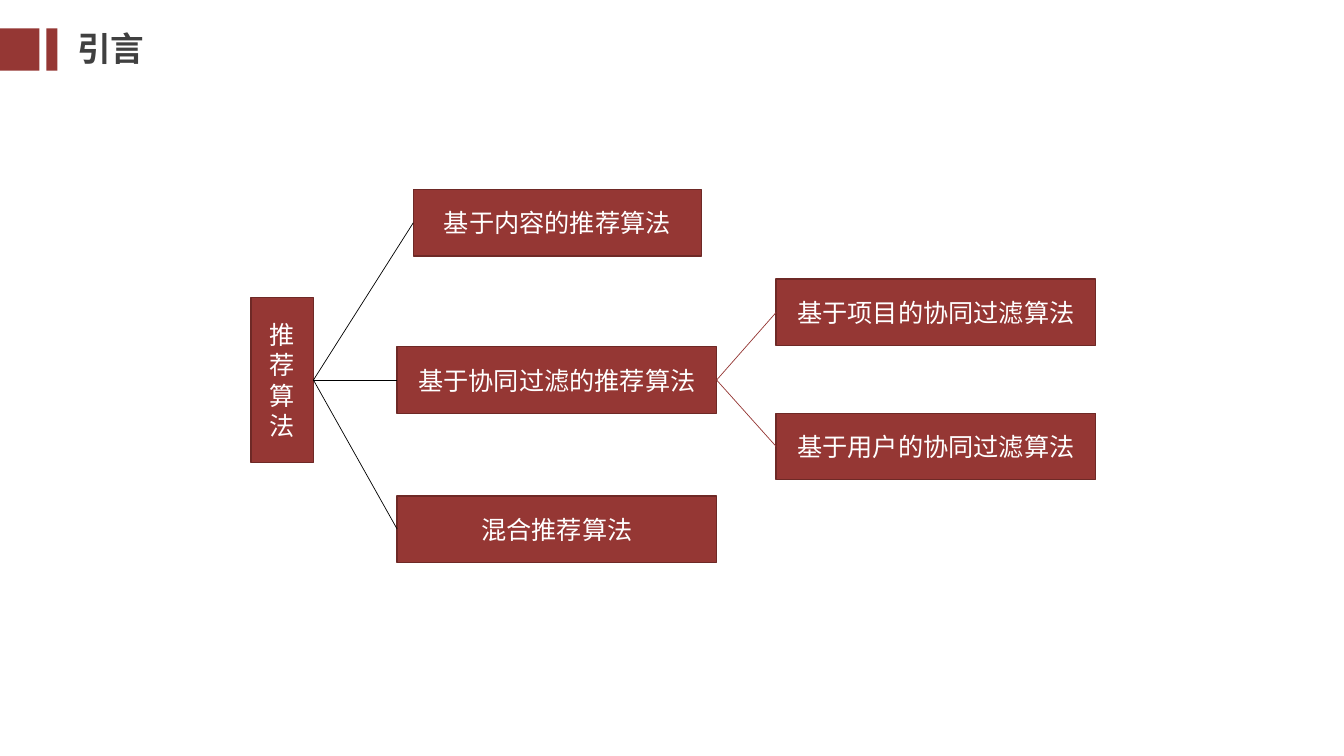
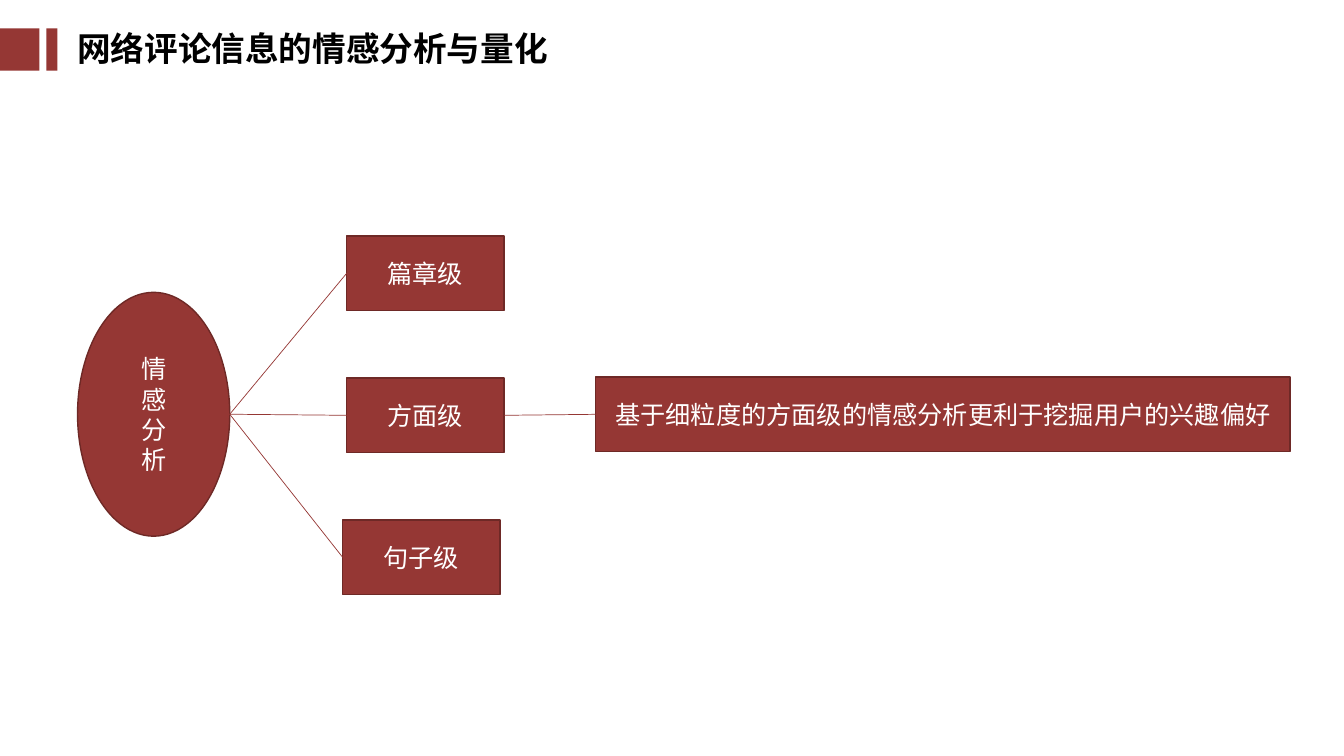
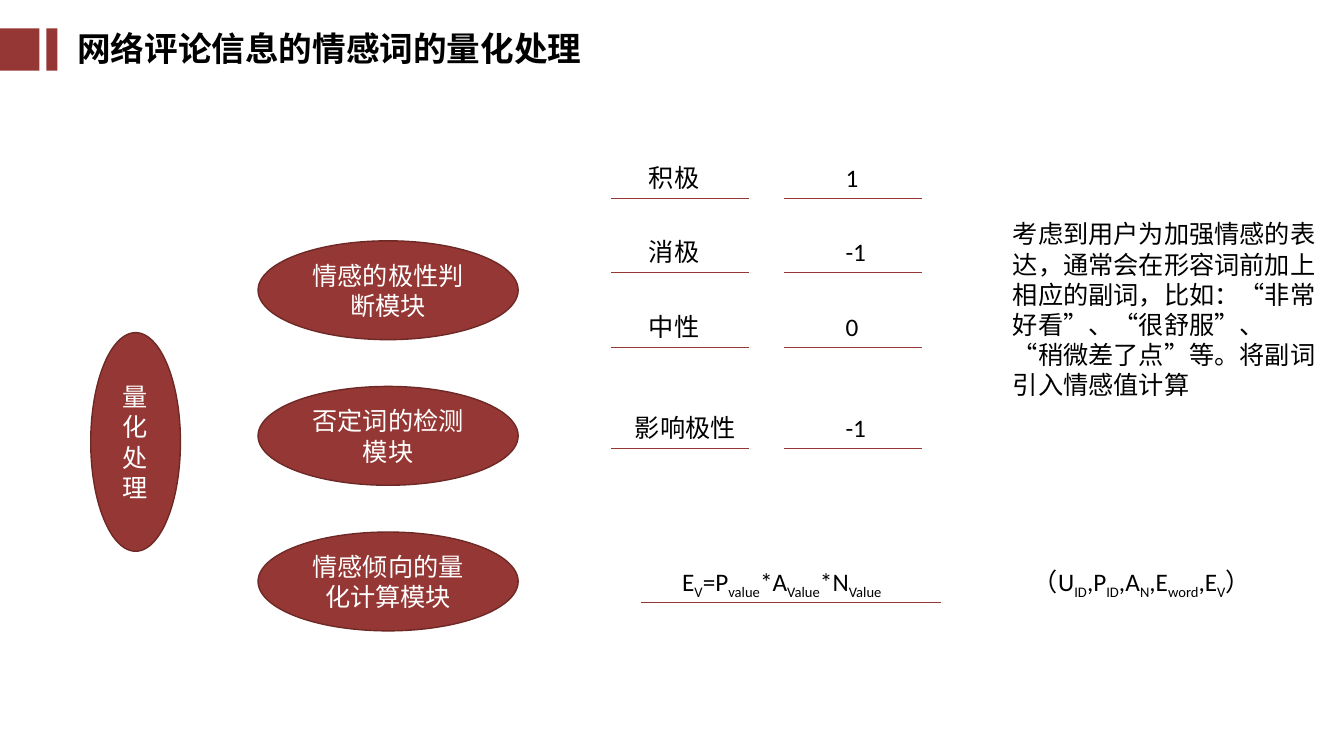
from pptx import Presentation
from pptx.dml.color import RGBColor
from pptx.enum.shapes import MSO_CONNECTOR as CONN, MSO_SHAPE as SHAPE
from pptx.enum.text import MSO_ANCHOR as ANCHOR, MSO_AUTO_SIZE as FIT, PP_ALIGN as ALIGN
from pptx.oxml.ns import qn
from pptx.util import Pt
from lxml.etree import SubElement

COLORS = {
    "red": "953734",
    "edge": "6E2926",
    "white": "FFFFFF",
    "black": "000000",
    "gray": "404040",
}
TITLE_FONT = "Noto Sans CJK SC"
BODY_FONT = "Calibri"
BAND_TOP, BAND_HEIGHT = 20.2, 30.2
TEXT_HEIGHT = 28.8


def rgb(name):
    return RGBColor.from_string(COLORS[name])


class Deck:
    def __init__(self):
        self.prs = Presentation()
        self.prs.slide_width, self.prs.slide_height = Pt(960), Pt(540)
        self.slide = None

    def new_slide(self, title, color="black"):
        self.slide = self.prs.slides.add_slide(self.prs.slide_layouts[6])
        for left, width in ((0, 28.1), (33.1, 7.9)):
            self.shape(SHAPE.RECTANGLE, left, BAND_TOP, width, BAND_HEIGHT)
        tf = self.text(title, 48.2, 16.6, 480, 36)
        self.style(tf, color, 24, TITLE_FONT, True)
        for r in tf.paragraphs[0].runs:
            SubElement(r.font._element, qn("a:ea"), typeface=TITLE_FONT)

    def style(self, tf, color, size=18, font=BODY_FONT, bold=False):
        for p in tf.paragraphs:
            for r in p.runs:
                r.font.name, r.font.size, r.font.bold = font, Pt(size), bold
                r.font.color.rgb = rgb(color)

    def shape(self, kind, left, top, width, height):
        sp = self.slide.shapes.add_shape(kind, Pt(left), Pt(top), Pt(width), Pt(height))
        sp.shadow.inherit = False
        sp.fill.solid()
        sp.fill.fore_color.rgb = rgb("red")
        sp.line.fill.background()
        return sp

    def node(self, text, left, top, width, height, kind=SHAPE.RECTANGLE):
        sp = self.shape(kind, left, top, width, height)
        sp.line.color.rgb = rgb("edge")
        sp.line.width = Pt(1)
        tf = sp.text_frame
        tf.text = text
        tf.word_wrap = True
        tf.vertical_anchor = ANCHOR.MIDDLE
        for p in tf.paragraphs:
            p.alignment = ALIGN.CENTER
        self.style(tf, "white")
        return sp

    def text(self, text, left, top, width, height=TEXT_HEIGHT):
        box = self.slide.shapes.add_textbox(Pt(left), Pt(top), Pt(width), Pt(height))
        tf = box.text_frame
        tf.word_wrap = True
        tf.auto_size = FIT.SHAPE_TO_FIT_TEXT
        tf.text = text
        self.style(tf, "black")
        return tf

    def formula(self, pairs, left, top, width):
        tf = self.text("", left, top, width)
        p = tf.paragraphs[0]
        for base, subscript in pairs:
            p.add_run().text = base
            if subscript:
                r = p.add_run()
                r.text = subscript
                r.font._element.set("baseline", "-25000")
        self.style(tf, "black")

    def line(self, x1, y1, x2, y2, color="red"):
        cxn = self.slide.shapes.add_connector(CONN.STRAIGHT, x1, y1, x2, y2)
        cxn.line.color.rgb = rgb(color)
        cxn.line.width = Pt(0.5)
        SubElement(cxn._element.spPr, qn("a:effectLst"))

    def rule(self, left, right, y):
        self.line(Pt(left), Pt(y), Pt(right), Pt(y))

    def branch(self, parent, children, color="red"):
        for child in children:
            self.line(parent.left + parent.width, parent.top + parent.height // 2,
                      child.left, child.top + child.height // 2, color)


def introduction(deck):
    deck.new_slide("引言", "gray")
    root = deck.node("推\n荐\n算\n法", 179.3, 212.4, 44.6, 118.1)
    content = deck.node("基于内容的推荐算法", 295.2, 135.4, 205.9, 47.5)
    collaborative, hybrid, by_item, by_user = [
        deck.node(text, left, top, 228.2, 47.5)
        for text, left, top in (
            ("基于协同过滤的推荐算法", 283.7, 247.7),
            ("混合推荐算法", 283.7, 354.2),
            ("基于项目的协同过滤算法", 554.4, 199.4),
            ("基于用户的协同过滤算法", 554.4, 295.2),
        )
    ]
    deck.branch(root, (content, collaborative, hybrid), "black")
    deck.branch(collaborative, (by_item, by_user))


def sentiment_analysis(deck):
    deck.new_slide("网络评论信息的情感分析与量化")
    root = deck.node("情\n感\n分\n析", 55.4, 208.8, 108.7, 174.2, SHAPE.OVAL)
    levels = [
        deck.node(text, left, 168.5 + 101.5 * i, 112.3, 53.3)
        for i, (text, left) in enumerate(
            (("篇章级", 247.7), ("方面级", 247.7), ("句子级", 244.8)))
    ]
    finding = deck.node("基于细粒度的方面级的情感分析更利于挖掘用户的兴趣偏好",
                        425.5, 269.3, 496.1, 53.3)
    deck.branch(root, levels)
    deck.branch(levels[1], [finding])


def quantification(deck):
    deck.new_slide("网络评论信息的情感词的量化处理")
    deck.node("量化处理", 64.8, 237.6, 64.1, 156.2, SHAPE.OVAL)
    modules = ("情感的极性判断模块", "否定词的检测模块", "情感倾向的量化计算模块")
    for i, module in enumerate(modules):
        deck.node(module, 184.3, 172 + 104 * i, 185.8, 70.6, SHAPE.OVAL)

    for label, value, left, top in (
        ("积极", "1", 456.5, 112.3),
        ("消极", "-1", 456.5, 165.6),
        ("中性", "0", 456.5, 218.9),
        ("影响极性", "-1", 446.4, 290.9),
    ):
        deck.text(label, left, top, 92)
        deck.text(value, 596.9, top, 72)
        for start in (436.3, 560.2):
            deck.rule(start, start + 98.6, top + 29.3)

    deck.text("考虑到用户为加强情感的表达，通常会在形容词前加上相应的副词，比如：“非常好看”、"
              "“很舒服”、 “稍微差了点”等。将副词引入情感值计算", 716.4, 152.6, 232.6, 138.2)
    deck.formula((("E", "V"), ("=P", "value"), ("*A", "Value"), ("*N", "Value")),
                 480.2, 401, 200.9)
    deck.rule(457.9, 672.5, 430.6)
    deck.formula((("（U", "ID"), (",P", "ID"), (",A", "N"), (",E", "word"),
                  (",E", "V"), ("）", "")), 730.8, 401, 180)


def main():
    deck = Deck()
    introduction(deck)
    sentiment_analysis(deck)
    quantification(deck)
    deck.prs.save("out.pptx")


if __name__ == "__main__":
    main()
